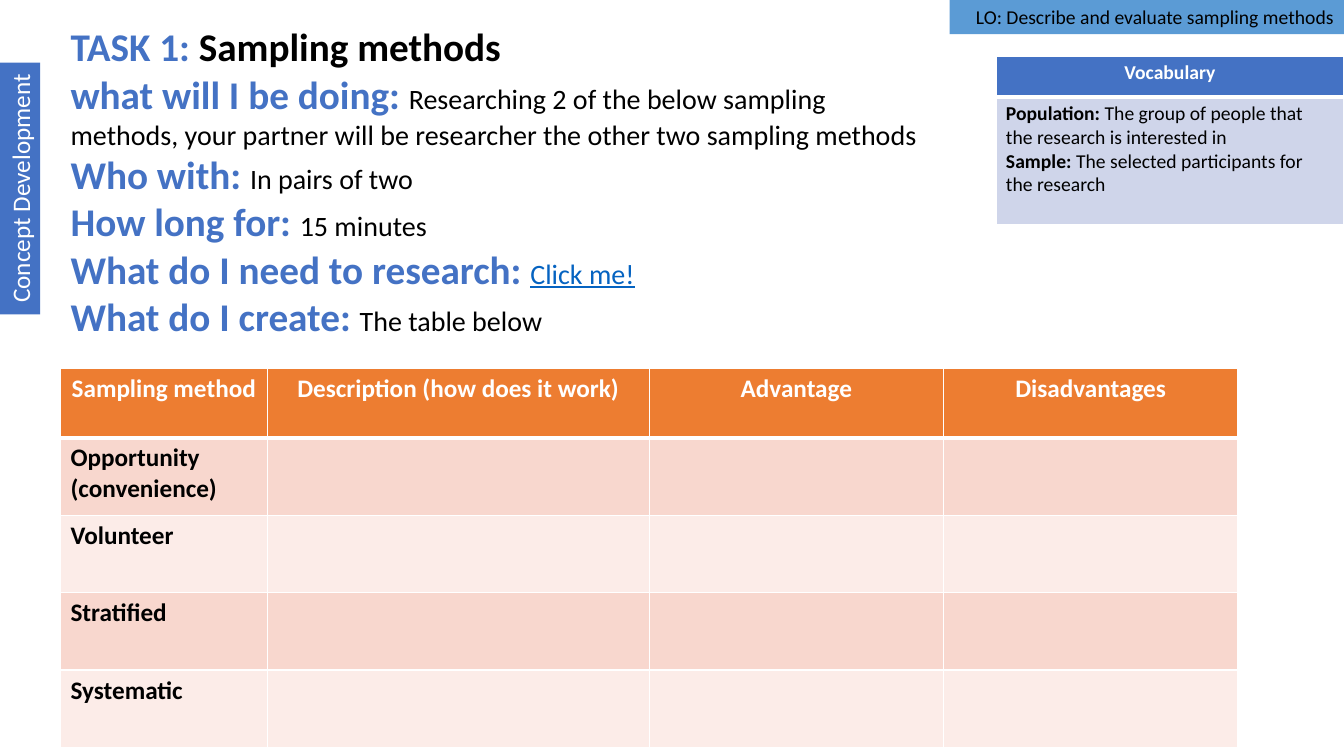
from dataclasses import dataclass
from lxml.etree import SubElement
from pptx import Presentation
from pptx.dml.color import RGBColor
from pptx.enum.shapes import MSO_SHAPE
from pptx.enum.text import MSO_ANCHOR, MSO_AUTO_SIZE, PP_ALIGN
from pptx.oxml.ns import qn
from pptx.util import Inches, Pt


@dataclass(frozen=True)
class Theme:
    font: str = "Calibri"
    blue: str = "4472C4"
    sky: str = "5B9BD5"
    lilac: str = "CFD5EA"
    orange: str = "ED7D31"
    peach: str = "F8D7CE"
    blush: str = "FCECE8"
    link: str = "0563C1"
    black: str = "000000"
    white: str = "FFFFFF"
    heading: int = 28
    text: int = 20
    label: int = 18
    small: int = 14
    hairline: int = 1
    rule: int = 3


class Deck:
    def __init__(self, theme):
        self.theme = theme
        self.prs = Presentation()
        self.prs.slide_width = Inches(13.33)
        self.prs.slide_height = Inches(7.5)
        self.s = self.prs.slides.add_slide(self.prs.slide_layouts[1])

    def x(self, percent):
        return round(self.prs.slide_width * percent / 100)

    def y(self, percent):
        return round(self.prs.slide_height * percent / 100)

    def box(self, left, top, width, height):
        return self.x(left), self.y(top), self.x(width), self.y(height)

    def add_text(self, p, text, size, color, bold=False, underline=False):
        for i, line in enumerate(text.split("\n")):
            if i:
                p.add_line_break()
            r = p.add_run()
            r.text = line
            r.font.name = self.theme.font
            r.font.size = Pt(size)
            r.font.bold = bold
            r.font.underline = underline
            r.font.color.rgb = RGBColor.from_string(color)

    def add_paragraphs(self, tf, paragraphs, align=PP_ALIGN.LEFT):
        for i, runs in enumerate(paragraphs):
            p = tf.add_paragraph() if i else tf.paragraphs[0]
            p.alignment = align
            for run in runs:
                self.add_text(p, *run)

    def placeholder(self, index, box, paragraphs):
        sp = self.s.placeholders[index]
        sp.left, sp.top, sp.width, sp.height = self.box(*box)
        tf = sp.text_frame
        tf.word_wrap = True
        tf.auto_size = MSO_AUTO_SIZE.NONE
        tf.vertical_anchor = MSO_ANCHOR.TOP
        self.add_paragraphs(tf, paragraphs)
        for p in tf.paragraphs:
            p.space_before = Pt(0)
            pPr = p._p.get_or_add_pPr()
            pPr.set("marL", "0")
            pPr.set("indent", "0")
            SubElement(pPr, qn("a:buNone"))

    def banner(self, box, fill, run, align, rotation=0, wrap=True):
        sp = self.s.shapes.add_shape(MSO_SHAPE.RECTANGLE, *self.box(*box))
        sp.shadow.inherit = False
        sp.rotation = rotation
        sp.fill.solid()
        sp.fill.fore_color.rgb = RGBColor.from_string(fill)
        sp.line.fill.background()
        sp.text_frame.word_wrap = wrap
        self.add_paragraphs(sp.text_frame, [[run]], align)

    def borders(self, cell, row):
        tcPr = cell._tc.get_or_add_tcPr()
        thick = {0: "B", 1: "T"}.get(row)
        for side in "LRTB":
            width = self.theme.rule if side == thick else self.theme.hairline
            ln = SubElement(tcPr, qn(f"a:ln{side}"), w=str(Pt(width)))
            fill = SubElement(ln, qn("a:solidFill"))
            SubElement(fill, qn("a:srgbClr"), val=self.theme.white)

    def table(self, left, top, cols, rows, cells, fills):
        box = self.box(left, top, sum(cols), sum(rows))
        table = self.s.shapes.add_table(len(rows), len(cols), *box).table
        for col, width in zip(table.columns, cols):
            col.width = self.x(width)
        for i, (row, height) in enumerate(zip(table.rows, rows)):
            row.height = self.y(height)
            for j, cell in enumerate(row.cells):
                self.borders(cell, i)
                cell.fill.solid()
                cell.fill.fore_color.rgb = RGBColor.from_string(fills[i])
                align = PP_ALIGN.LEFT if i else PP_ALIGN.CENTER
                if j < len(cells[i]):
                    self.add_paragraphs(cell.text_frame, cells[i][j], align)


def main():
    t = Theme()
    deck = Deck(t)
    margin = 4.5

    deck.placeholder(0, (margin, 2.27, 66.15, 8), [[
        ("TASK 1: ", t.heading, t.blue, True),
        ("Sampling methods", t.heading, t.black, True),
    ]])
    steps = [
        ("what will I be doing: ", "Researching 2 of the below sampling methods, "
         "your partner will be researcher the other two sampling methods"),
        ("Who with: ", "In pairs of two"),
        ("How long for: ", "15 minutes"),
        ("What do I need to research: ", "Click me!"),
        ("What do I create: ", "The table below"),
    ]
    body = []
    for question, answer in steps:
        is_link = answer == "Click me!"
        color = t.link if is_link else t.black
        body.append([(question, t.heading, t.blue, True),
                     (answer, t.text, color, False, is_link)])
    deck.placeholder(1, (margin, 8.6, 66.15, 37.2), body)

    deck.banner((-7.88, 22.27, 18.75, 5.33), t.blue,
                ("Concept Development", t.label, t.white),
                PP_ALIGN.CENTER, rotation=270, wrap=False)
    deck.banner((70.65, 0, 29.35, 4.53), t.sky,
                ("LO: Describe and evaluate sampling methods", t.small, t.black),
                PP_ALIGN.RIGHT)

    terms = [
        ("Population: ", "The group of people that the research is interested in"),
        ("Sample: ", "The selected participants for the research"),
    ]
    definitions = [[(term, t.small, t.black, True), (meaning, t.small, t.black)]
                   for term, meaning in terms]
    vocabulary = [[("Vocabulary", t.small, t.white, True)]]
    deck.table(74.1, 7.4, [25.9], [5.4, 16.9],
               [[vocabulary], [definitions]], [t.blue, t.lilac])

    headers = ["Sampling method", "Description (how does it work)",
               "Advantage", "Disadvantages"]
    methods = ["Opportunity\n(convenience)", "Volunteer", "Stratified", "Systematic"]
    cells = [[[[(h, t.label, t.white, True)]] for h in headers]]
    cells += [[[[(m, t.label, t.black, True)]]] for m in methods]
    deck.table(margin, 48.7, [15.38, 28.43, 21.9, 21.9], [9.2] + [10.25] * 4,
               cells, [t.orange] + [t.peach, t.blush] * 2)

    deck.prs.save("out.pptx")


if __name__ == "__main__":
    main()
